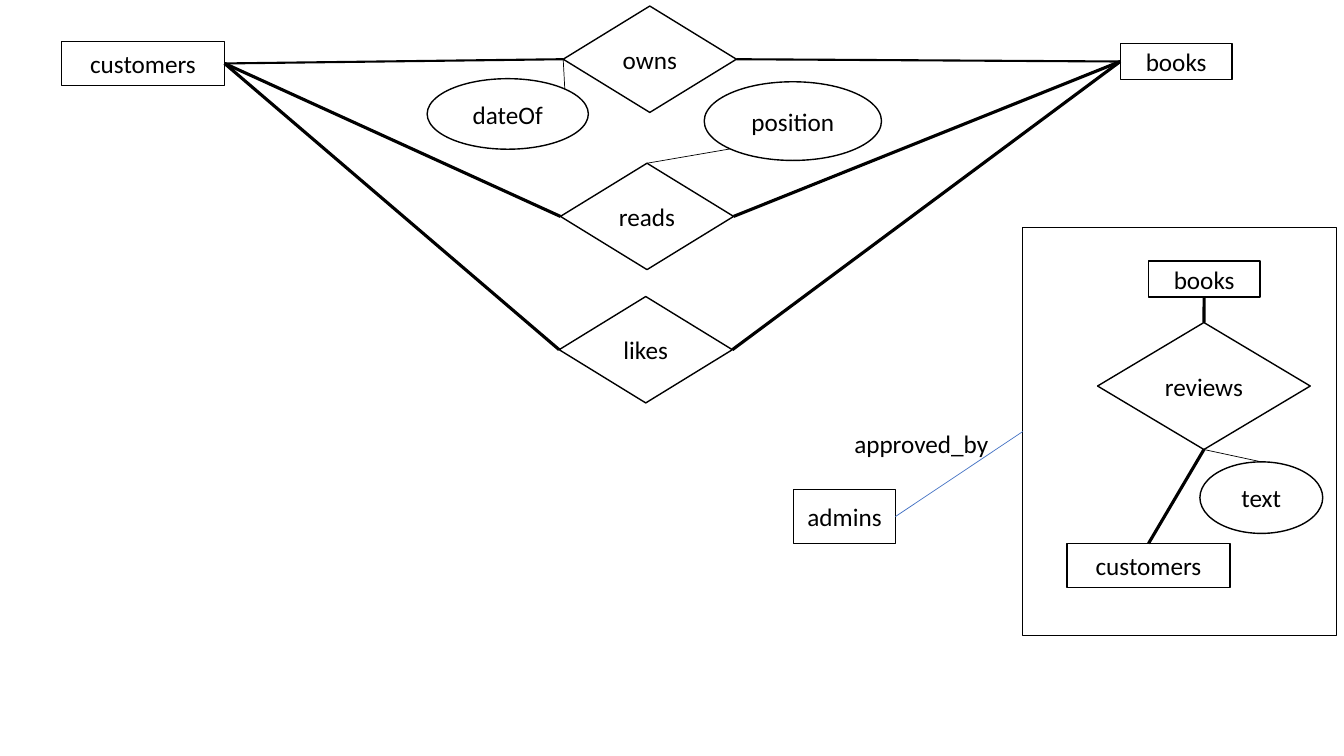
from math import sqrt

from lxml import etree
from pptx import Presentation
from pptx.dml.color import RGBColor
from pptx.enum import shapes, text
from pptx.oxml import ns
from pptx.util import Pt

BLACK = RGBColor(0x00, 0x00, 0x00)
WHITE = RGBColor(0xFF, 0xFF, 0xFF)
BLUE = RGBColor(0x44, 0x72, 0xC4)

ENTITY = shapes.MSO_SHAPE.RECTANGLE
RELATION = shapes.MSO_SHAPE.DIAMOND
ATTRIBUTE = shapes.MSO_SHAPE.OVAL

TOP, LEFT, BOTTOM, RIGHT = range(4)
CUSTOMERS_SIZE = (116.6, 31.7)
BOOKS_SIZE = (79.9, 25.9)
DIAMOND_SIZE = (123.8, 76)
THIN, MEDIUM, THICK = 0.5, 1.5, 2.25


def write(frame, wording, alignment):
    frame.text = wording
    frame.paragraphs[0].alignment = alignment
    font = frame.paragraphs[0].runs[0].font
    font.name = "Calibri"
    font.size = Pt(18)
    font.color.rgb = BLACK


def add_node(slide, kind, wording, left, top, size):
    node = slide.shapes.add_shape(kind, Pt(left), Pt(top), *map(Pt, size))
    node.shadow.inherit = False
    node.fill.solid()
    node.fill.fore_color.rgb = WHITE
    node.line.color.rgb = BLACK
    node.line.width = Pt(1)
    node.text_frame.vertical_anchor = text.MSO_ANCHOR.MIDDLE
    node.text_frame.word_wrap = True
    write(node.text_frame, wording, text.PP_ALIGN.CENTER)
    return node


def add_frame(slide, left, top, width, height):
    frame = slide.shapes.add_shape(ENTITY, Pt(left), Pt(top), Pt(width), Pt(height))
    frame.shadow.inherit = False
    frame.fill.background()
    frame.line.color.rgb = BLACK
    frame.line.width = Pt(0.75)
    return frame


def add_label(slide, wording, left, top, width, height):
    label = slide.shapes.add_textbox(Pt(left), Pt(top), Pt(width), Pt(height))
    label.text_frame.word_wrap = True
    label.text_frame.auto_size = text.MSO_AUTO_SIZE.SHAPE_TO_FIT_TEXT
    write(label.text_frame, wording, text.PP_ALIGN.LEFT)


def add_line(slide, start, end, end_side, weight, color=BLACK):
    line = slide.shapes.add_connector(shapes.MSO_CONNECTOR.STRAIGHT, *start, *start)
    line.end_connect(end, end_side)
    line.line.color.rgb = color
    line.line.width = Pt(weight)
    etree.SubElement(line._element.spPr, ns.qn("a:effectLst"))
    return line


def link(slide, start, start_side, end, end_side, weight, color=BLACK):
    line = add_line(slide, (start.left, start.top), end, end_side, weight, color)
    line.begin_connect(start, start_side)


def oval_corner(oval, across, down):
    reach = sqrt(0.5)
    return (
        int(oval.left + oval.width / 2 * (1 + across * reach)),
        int(oval.top + oval.height / 2 * (1 + down * reach)),
    )


def add_book_relations(slide):
    customers = add_node(slide, ENTITY, "customers", 43.9, 29.5, CUSTOMERS_SIZE)
    books = add_node(slide, ENTITY, "books", 800.6, 31, BOOKS_SIZE)
    owns = add_node(slide, RELATION, "owns", 402.5, 4.3, DIAMOND_SIZE)
    reads = add_node(slide, RELATION, "reads", 400.5, 116.6, DIAMOND_SIZE)
    likes = add_node(slide, RELATION, "likes", 399.6, 211.8, DIAMOND_SIZE)
    position = add_node(slide, ATTRIBUTE, "position", 503.3, 58.4, (126.7, 56.2))
    date_of = add_node(slide, ATTRIBUTE, "dateOf", 305.3, 56.2, (115.2, 50.4))

    for relation, weight in ((owns, MEDIUM), (reads, THICK), (likes, THICK)):
        link(slide, customers, RIGHT, relation, LEFT, weight)
        link(slide, books, LEFT, relation, RIGHT, weight)
    add_line(slide, oval_corner(date_of, 1, -1), owns, LEFT, THIN)
    add_line(slide, oval_corner(position, -1, 1), reads, TOP, THIN)


def add_reviews(slide):
    reviews = add_node(slide, RELATION, "reviews", 784.4, 230.4, (152, 90.7))
    review_text = add_node(slide, ATTRIBUTE, "text", 857.5, 329.9, (87.8, 51.1))
    customers = add_node(slide, ENTITY, "customers", 762.5, 388.2, CUSTOMERS_SIZE)
    books = add_node(slide, ENTITY, "books", 820.6, 186.4, BOOKS_SIZE)

    link(slide, books, BOTTOM, reviews, TOP, THICK)
    link(slide, customers, TOP, reviews, BOTTOM, THICK)
    link(slide, review_text, TOP, reviews, BOTTOM, THIN)
    return add_frame(slide, 731, 162.7, 223.9, 291)


def add_approval(slide, review_frame):
    admins = add_node(slide, ENTITY, "admins", 567.2, 349.8, (72.7, 38.4))
    add_label(slide, "approved_by", 603.4, 302.4, 137.5, 50.4)
    link(slide, admins, RIGHT, review_frame, LEFT, THIN, BLUE)


def main():
    deck = Presentation()
    deck.slide_width = Pt(960.5)
    deck.slide_height = Pt(540)
    slide = deck.slides.add_slide(deck.slide_layouts[6])
    add_book_relations(slide)
    review_frame = add_reviews(slide)
    add_approval(slide, review_frame)
    deck.save("out.pptx")


if __name__ == "__main__":
    main()
